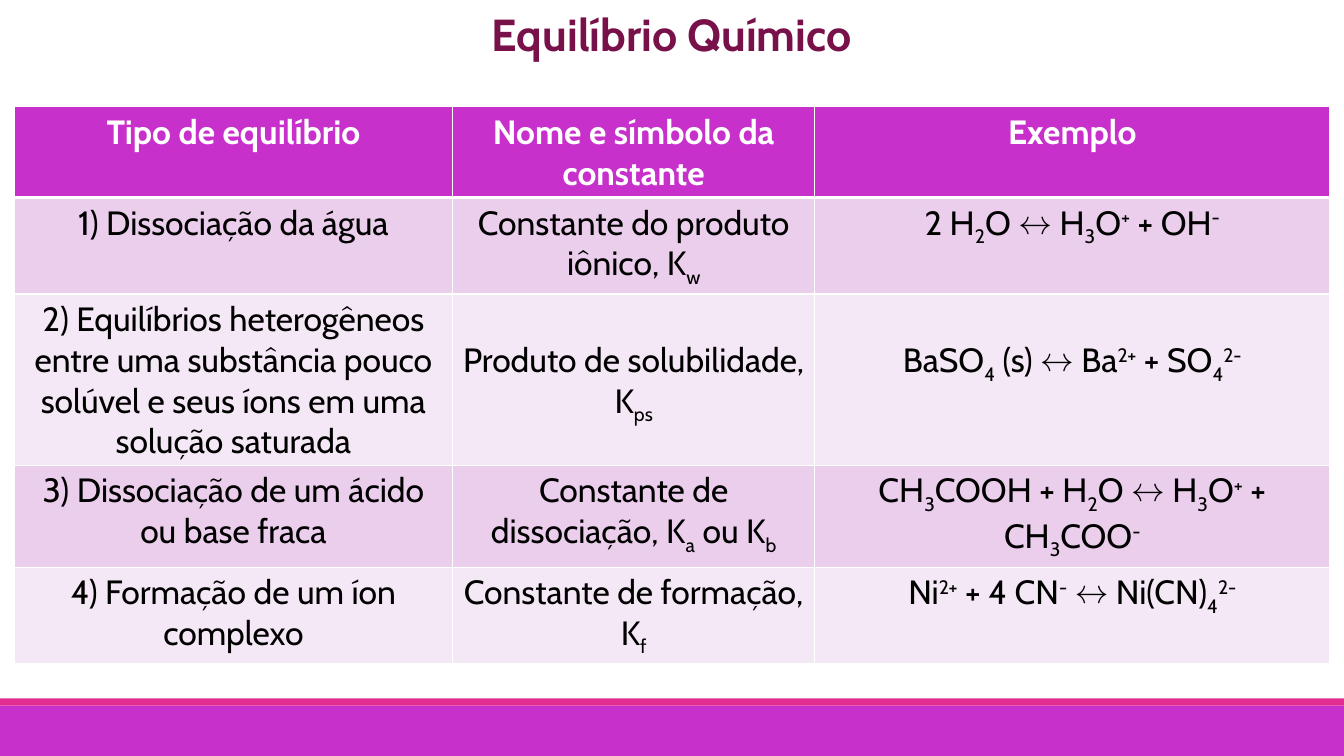
from typing import NamedTuple

from lxml.etree import SubElement
from pptx import Presentation
from pptx.dml.color import RGBColor
from pptx.enum.shapes import MSO_SHAPE as SHAPE
from pptx.enum.text import PP_ALIGN as ALIGN
from pptx.oxml.ns import qn
from pptx.util import Emu, Pt

PX = 9144  # EMU per px, 100 px to the inch
FONT = "Cabin"
COLORS = {
    "title": "781049",
    "purple": "C830CC",
    "pink": "E32D91",
    "band_dark": "EBCDEC",
    "band_light": "F5E8F6",
    "white": "FFFFFF",
    "black": "000000",
}


class Bar(NamedTuple):
    top: int
    height: int
    color: str


class Part(NamedTuple):
    text: str
    baseline: int = 0  # thousandths of a percent


class Row(NamedTuple):
    height: int
    cells: list[list[Part]]
    drop: int = 0  # extra top margin of the second and third cells


def px(n: int) -> Emu:
    return Emu(n * PX)


def rgb(name: str) -> RGBColor:
    return RGBColor.from_string(COLORS[name])


def formula(text: str) -> list[Part]:
    """Read _{low} and ^{high} marks as subscripts and superscripts."""
    shifts = {"_": -25000, "^": 30000}
    parts = []
    for chunk in text.split("}"):
        plain, brace, raised = chunk.partition("{")
        if brace:
            parts += [Part(plain[:-1]), Part(raised, shifts[plain[-1]])]
        else:
            parts.append(Part(plain))
    return [part for part in parts if part.text]


def row(height: int, *texts: str, drop: int = 0) -> Row:
    return Row(height, [formula(text) for text in texts], drop)


BARS = [Bar(700, 50, "purple"), Bar(693, 7, "pink")]
COLUMNS = [435, 359, 511]
ROWS = [
    row(90, "Tipo de equilíbrio", "Nome e símbolo da constante", "Exemplo"),
    row(95, "1) Dissociação da água",
        "Constante do produto iônico, K_{w}",
        "2 H_{2}O ↔ H_{3}O^{+} + OH^{-}"),
    row(170, "2) Equilíbrios heterogêneos entre uma substância pouco solúvel "
        "e seus íons em uma solução saturada",
        "Produto de solubilidade, K_{ps}",
        "BaSO_{4} (s) ↔ Ba^{2+} + SO_{4}^{2-}", drop=41),
    row(101, "3) Dissociação de um ácido ou base fraca",
        "Constante de dissociação, K_{a} ou K_{b}",
        "CH_{3}COOH + H_{2}O ↔ H_{3}O^{+} + CH_{3}COO^{-}"),
    row(95, "4) Formação de um íon complexo",
        "Constante de formação, K_{f}",
        "Ni^{2+} + 4 CN^{-} ↔ Ni(CN)_{4}^{2-}"),
]


def write(tf, parts: list[Part], size: int, color: str, bold: bool) -> None:
    p = tf.paragraphs[0]
    p.alignment = ALIGN.CENTER
    p.font.name = FONT
    p.font.size = Pt(size)
    p.font.bold = bold
    p.font.color.rgb = rgb(color)
    for part in parts:
        r = p.add_run()
        r.text = part.text
        if part.baseline:
            r.font._element.set("baseline", str(part.baseline))


def add_bar(slide, bar: Bar) -> None:
    s = slide.shapes.add_shape(
        SHAPE.RECTANGLE, 0, px(bar.top), px(1333), px(bar.height))
    s.shadow.inherit = False
    s.fill.solid()
    s.fill.fore_color.rgb = rgb(bar.color)
    s.line.fill.background()


def set_borders(cell, top: int, bottom: int) -> None:
    tc_pr = cell._tc.get_or_add_tcPr()
    for side, width in (("L", 1), ("R", 1), ("T", top), ("B", bottom)):
        ln = SubElement(tc_pr, qn(f"a:ln{side}"), w=str(Pt(width)))
        fill = SubElement(ln, qn("a:solidFill"))
        SubElement(fill, qn("a:srgbClr"), val=COLORS["white"])


def add_equilibrium_table(slide) -> None:
    frame = slide.shapes.add_table(
        len(ROWS), len(COLUMNS), px(14), px(106),
        px(sum(COLUMNS)), px(sum(item.height for item in ROWS)))
    table = frame.table
    for column, width in zip(table.columns, COLUMNS):
        column.width = px(width)
    for i, item in enumerate(ROWS):
        table.rows[i].height = px(item.height)
        header = i == 0
        band = "band_dark" if i % 2 else "band_light"
        for j, parts in enumerate(item.cells):
            cell = table.cell(i, j)
            cell.margin_left = cell.margin_right = px(10)
            cell.margin_top = px(5 + (item.drop if j else 0))
            cell.margin_bottom = px(5)
            set_borders(cell, 3 if i == 1 else 1, 3 if header else 1)
            cell.fill.solid()
            cell.fill.fore_color.rgb = rgb("purple" if header else band)
            write(cell.text_frame, parts, 24,
                  "white" if header else "black", header)


def main() -> None:
    prs = Presentation()
    prs.slide_width, prs.slide_height = px(1333), px(750)
    slide = prs.slides.add_slide(prs.slide_layouts[6])

    # Footer bars
    for bar in BARS:
        add_bar(slide, bar)

    # Title
    tf = slide.shapes.add_textbox(0, px(2), px(1333), px(64)).text_frame
    tf.word_wrap = True
    write(tf, [Part("Equilíbrio Químico")], 32, "title", True)

    # Table of equilibrium types
    add_equilibrium_table(slide)

    prs.save("out.pptx")


if __name__ == "__main__":
    main()
